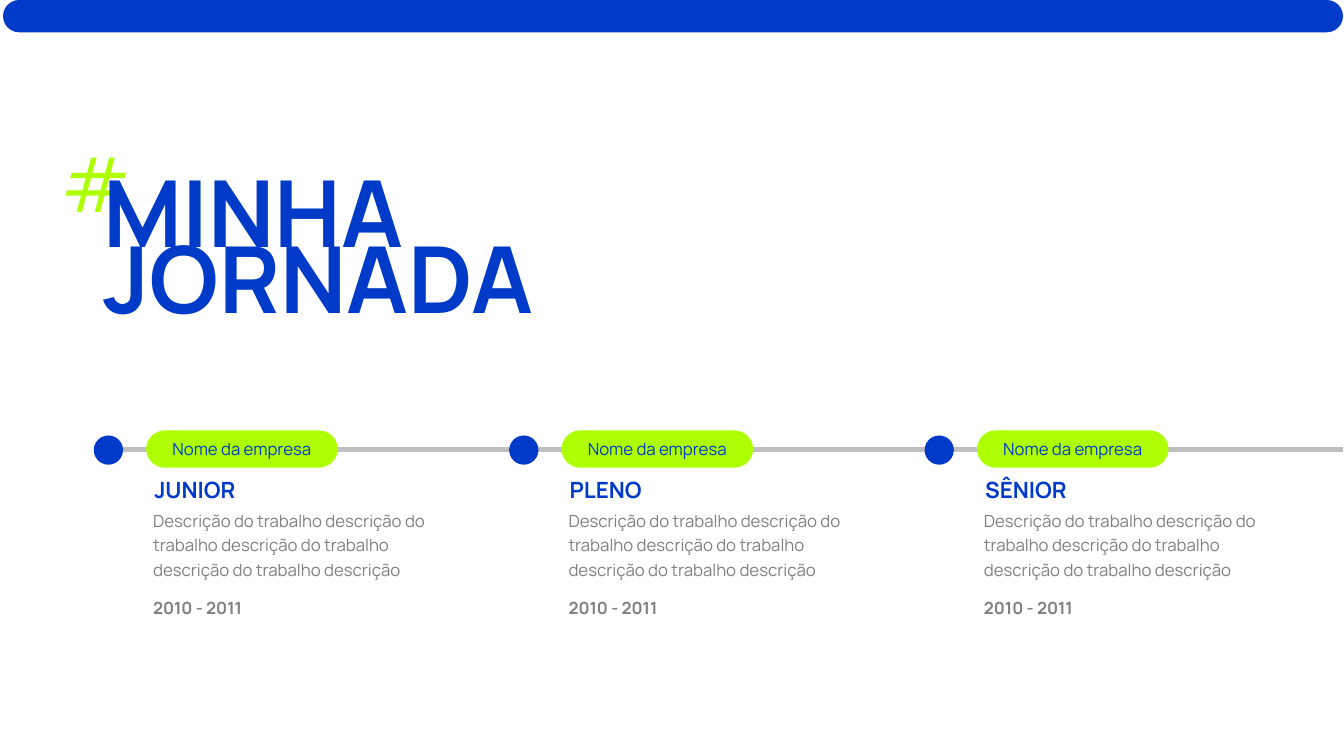
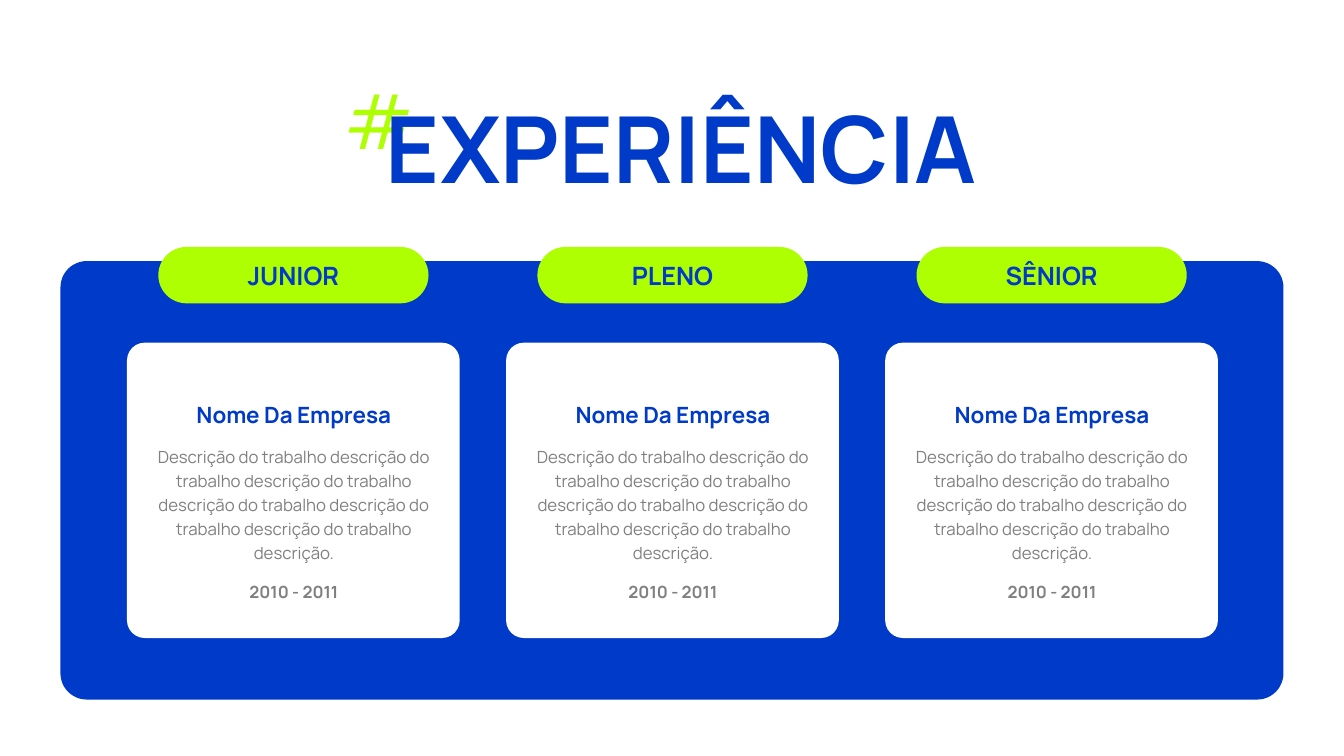
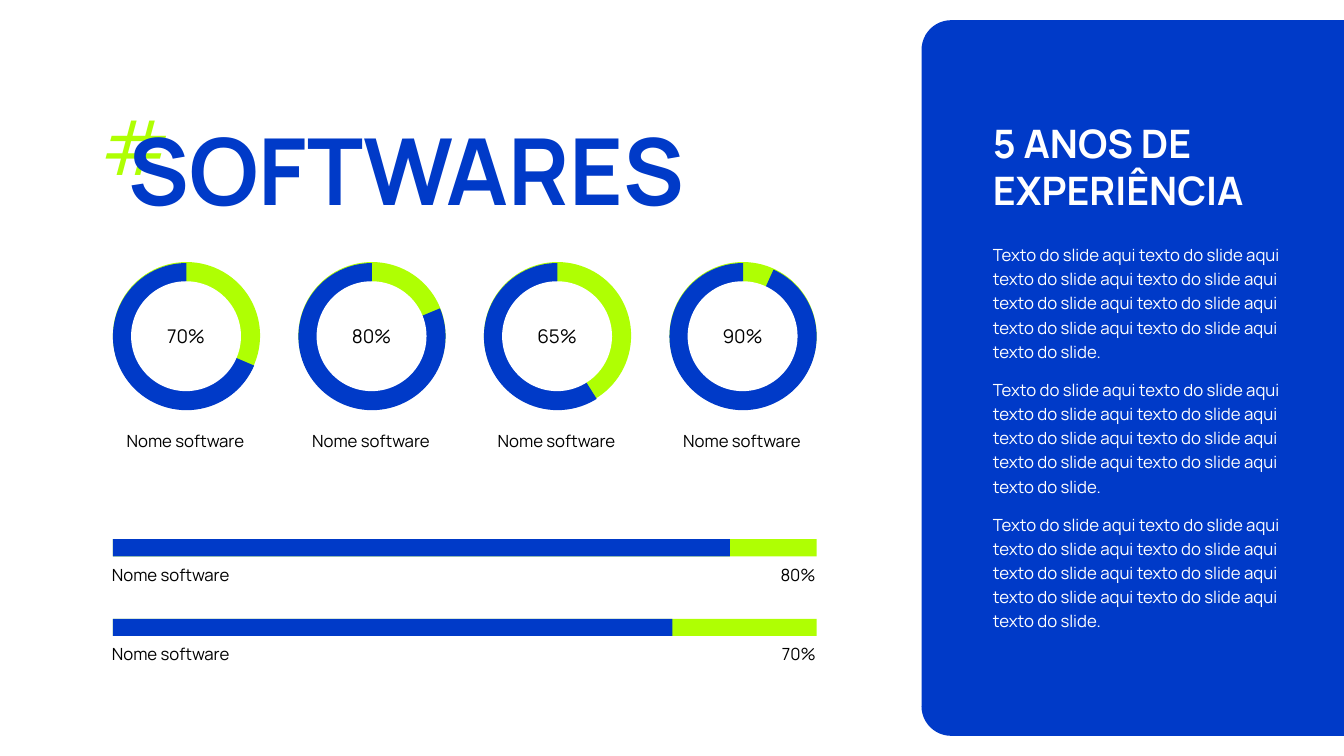
from dataclasses import dataclass, replace
from typing import NamedTuple

from lxml.etree import SubElement
from pptx import Presentation
from pptx.dml.fill import FillFormat
from pptx.dml.color import RGBColor
from pptx.enum.shapes import MSO_CONNECTOR, MSO_SHAPE as Preset
from pptx.enum.text import MSO_ANCHOR as Anchor, PP_ALIGN as Align
from pptx.oxml.ns import qn
from pptx.shapes.autoshape import Shape
from pptx.shapes.shapetree import GroupShapes, SlideShapes
from pptx.slide import Slide
from pptx.util import Inches, Length, Pt

BLUE, LIME, GRAY = "003AC8", "AFFF03", "808080"
SILVER, WHITE, BLACK = "BFBFBF", "FFFFFF", "000000"
FONT = "Manrope"
LEVELS = ("JUNIOR", "PLENO", "SÊNIOR")
YEARS = "2010 - 2011"
SOFTWARE = "Nome software"

Shapes = SlideShapes | GroupShapes


class Box(NamedTuple):
    left: float
    top: float
    width: float
    height: float

    def shift(self, right: float = 0, down: float = 0) -> "Box":
        return self._replace(left=self.left + right, top=self.top + down)

    def lengths(self) -> list[Length]:
        return [Inches(side) for side in self]


@dataclass(frozen=True)
class Style:
    size: float
    color: str
    bold: bool = False
    align: Align = Align.LEFT
    spacing: float | Length = 1.0
    gap: float = 0


@dataclass(frozen=True)
class Frame:
    anchor: Anchor = Anchor.TOP
    side: float = 0.1
    end: float = 0.05


@dataclass(frozen=True)
class Ring:
    share: str
    start: float


@dataclass(frozen=True)
class Bar:
    share: str
    filled: float


HASH = Style(54, LIME)
TITLE = Style(66, BLUE, bold=True, spacing=0.8)
PILL = Style(12, BLUE, align=Align.CENTER)
HEADING = Style(16, BLUE, bold=True)
BODY = Style(12, GRAY, spacing=1.2, gap=10)
LABEL = Style(12, BLACK)
TOP, MIDDLE, BOTTOM = Frame(), Frame(Anchor.MIDDLE), Frame(Anchor.BOTTOM)
SNUG = Frame(Anchor.MIDDLE, 0.08, 0)
BARE = Frame(Anchor.TOP, 0, 0)


def paint(fill: FillFormat, color: str) -> None:
    fill.solid()
    fill.fore_color.rgb = RGBColor.from_string(color)


def assign(target: object, values: dict[str, object]) -> None:
    for name, value in values.items():
        setattr(target, name, value)


def write(shape: Shape, lines: list[tuple[str, Style]], frame: Frame) -> None:
    text_frame = shape.text_frame
    assign(text_frame, {
        "word_wrap": True,
        "vertical_anchor": frame.anchor,
        "margin_left": Inches(frame.side),
        "margin_right": Inches(frame.side),
        "margin_top": Inches(frame.end),
        "margin_bottom": Inches(frame.end),
    })
    for index, (text, style) in enumerate(lines):
        paragraph = text_frame.add_paragraph() if index else text_frame.paragraphs[0]
        assign(paragraph, {
            "alignment": style.align,
            "line_spacing": style.spacing,
            "space_before": Pt(style.gap if index else 0),
        })
        run = paragraph.add_run()
        run.text = text
        assign(run.font, {"name": FONT, "size": Pt(style.size), "bold": style.bold})
        paint(run.font.fill, style.color)


def add_text(shapes: Shapes, box: Box, lines: list[tuple[str, Style]], frame: Frame = TOP) -> None:
    write(shapes.add_textbox(*box.lengths()), lines, frame)


def add_form(shapes: Shapes, preset: Preset, box: Box, color: str, *adjustments: float) -> Shape:
    form = shapes.add_shape(preset, *box.lengths())
    form.shadow.inherit = False
    paint(form.fill, color)
    form.line.fill.background()
    for index, value in enumerate(adjustments):
        form.adjustments[index] = value
    return form


def add_pill(shapes: Shapes, box: Box, text: str, style: Style) -> None:
    pill = add_form(shapes, Preset.ROUNDED_RECTANGLE, box, LIME, 0.5)
    write(pill, [(text, style)], MIDDLE)


def add_title(slide: Slide, hash_left: float, hash_top: float, lines: dict[str, Box],
              style: Style = TITLE, frame: Frame = BOTTOM) -> None:
    add_text(slide.shapes, Box(hash_left, hash_top, 1.33, 1.01), [("#", HASH)])
    for text, box in lines.items():
        add_text(slide.shapes, box, [(text, style)], frame)


def job_lines(description: str, align: Align) -> list[tuple[str, Style]]:
    body = replace(BODY, align=align)
    return [(description, body), (YEARS, replace(body, bold=True))]


def build_journey(slide: Slide) -> None:
    first_line = Box(0.93, 1.75, 5.65, 0.93)
    add_title(slide, 0.51, 1.31, {"MINHA": first_line, "JORNADA": first_line.shift(down=0.66)})
    add_form(slide.shapes, Preset.ROUNDED_RECTANGLE, Box(0.03, 0, 13.29, 0.32), BLUE, 0.5)
    timeline = slide.shapes.add_connector(
        MSO_CONNECTOR.STRAIGHT, Inches(13.32), Inches(4.46), Inches(1.05), Inches(4.46))
    paint(timeline.line.fill, SILVER)
    timeline.line.width = Pt(3)
    SubElement(timeline._element.spPr, qn("a:effectLst"))

    description = " ".join(["Descrição do trabalho"] + ["descrição do trabalho"] * 3 + ["descrição"])
    for index, level in enumerate(LEVELS):
        step = 4.12 * index
        stage = slide.shapes.add_group_shape().shapes
        add_form(stage, Preset.OVAL, Box(0.93, 4.32, 0.29, 0.29).shift(step), BLUE)
        add_pill(stage, Box(1.45, 4.27, 1.9, 0.37).shift(step), "Nome da empresa", PILL)
        add_text(stage, Box(1.42, 4.98, 3.32, 1.25).shift(step), job_lines(description, Align.LEFT))
        add_text(stage, Box(1.45, 4.72, 2.19, 0.28).shift(step), [(level, HEADING)], SNUG)


def build_experience(slide: Slide) -> None:
    add_form(slide.shapes, Preset.ROUNDED_RECTANGLE, Box(0.6, 2.59, 12.13, 4.35), BLUE, 0.06)
    add_title(slide, 3.32, 0.68, {"EXPERIÊNCIA": Box(3.73, 1.12, 8.25, 0.93)})

    description = " ".join(["Descrição do trabalho"] + ["descrição do trabalho"] * 5 + ["descrição."])
    company = replace(HEADING, align=Align.CENTER)
    for index, level in enumerate(LEVELS):
        step = 3.76 * index
        card = slide.shapes.add_group_shape().shapes
        add_pill(card, Box(1.57, 2.45, 2.68, 0.56).shift(step), level,
                 replace(PILL, size=18, bold=True))
        add_form(card, Preset.ROUNDED_RECTANGLE, Box(1.26, 3.4, 3.3, 2.93).shift(step), WHITE, 0.06)
        add_text(card, Box(1.39, 4.34, 3.05, 1.75).shift(step), job_lines(description, Align.CENTER))
        add_text(card, Box(1.18, 3.89, 3.47, 0.45).shift(step), [("Nome Da Empresa", company)], SNUG)


def add_ring(shapes: Shapes, ring: Ring, step: float) -> None:
    centered = replace(LABEL, align=Align.CENTER)
    disc = Box(1.12, 2.6, 1.46, 1.46).shift(step)
    degree = 0.6
    add_form(shapes, Preset.OVAL, disc, LIME)
    add_form(shapes, Preset.PIE, disc.shift(down=0.01), BLUE, ring.start * degree, 270 * degree)
    hole = add_form(shapes, Preset.OVAL, Box(1.3, 2.79, 1.09, 1.09).shift(step), WHITE)
    write(hole, [(ring.share, replace(centered, size=13.5))], MIDDLE)
    add_text(shapes, Box(1.11, 4.22, 1.46, 0.5).shift(step), [(SOFTWARE, centered)])


def add_bar(shapes: Shapes, bar: Bar, drop: float) -> None:
    track = Box(1.12, 5.35, 6.98, 0.17).shift(down=drop)
    add_form(shapes, Preset.RECTANGLE, track, LIME)
    add_form(shapes, Preset.RECTANGLE, track._replace(width=bar.filled), BLUE)
    add_text(shapes, Box(1.11, 5.6, 2.45, 0.2).shift(down=drop), [(SOFTWARE, LABEL)], BARE)
    add_text(shapes, Box(7.35, 5.6, 0.74, 0.2).shift(down=drop),
             [(bar.share, replace(LABEL, align=Align.RIGHT))], BARE)


def build_software(slide: Slide) -> None:
    panel = add_form(slide.shapes, Preset.ROUND_2_SAME_RECTANGLE, Box(7.69, 1.65, 7.1, 4.2),
                     BLUE, 0.07, 0)
    panel.rotation = 270
    add_title(slide, 0.91, 0.94, {"SOFTWARES": Box(1.18, 1.2, 6.11, 1.08)},
              replace(TITLE, spacing=Pt(70)), TOP)

    rings = (Ring("70%", 23.19), Ring("80%", 337.43), Ring("65%", 57.8), Ring("90%", 294.45))
    for index, ring in enumerate(rings):
        add_ring(slide.shapes, ring, 1.84 * index)
    for index, bar in enumerate((Bar("80%", 6.12), Bar("70%", 5.55))):
        add_bar(slide.shapes, bar, 0.79 * index)

    summary = " ".join(["Texto do slide aqui"] + ["texto do slide aqui"] * 7 + ["texto do slide."])
    about = slide.shapes.add_group_shape().shapes
    add_text(about, Box(9.75, 2.34, 3.26, 4.36), [(summary, replace(BODY, color=WHITE))] * 3)
    add_text(about, Box(9.75, 1.11, 3.01, 1.08),
             [("5 ANOS DE EXPERIÊNCIA", Style(28, WHITE, bold=True))], MIDDLE)


def main() -> None:
    deck = Presentation()
    deck.slide_width, deck.slide_height = Inches(13.33), Inches(7.5)
    blank = deck.slide_layouts[6]
    for build in (build_journey, build_experience, build_software):
        build(deck.slides.add_slide(blank))
    deck.save("out.pptx")


if __name__ == "__main__":
    main()
